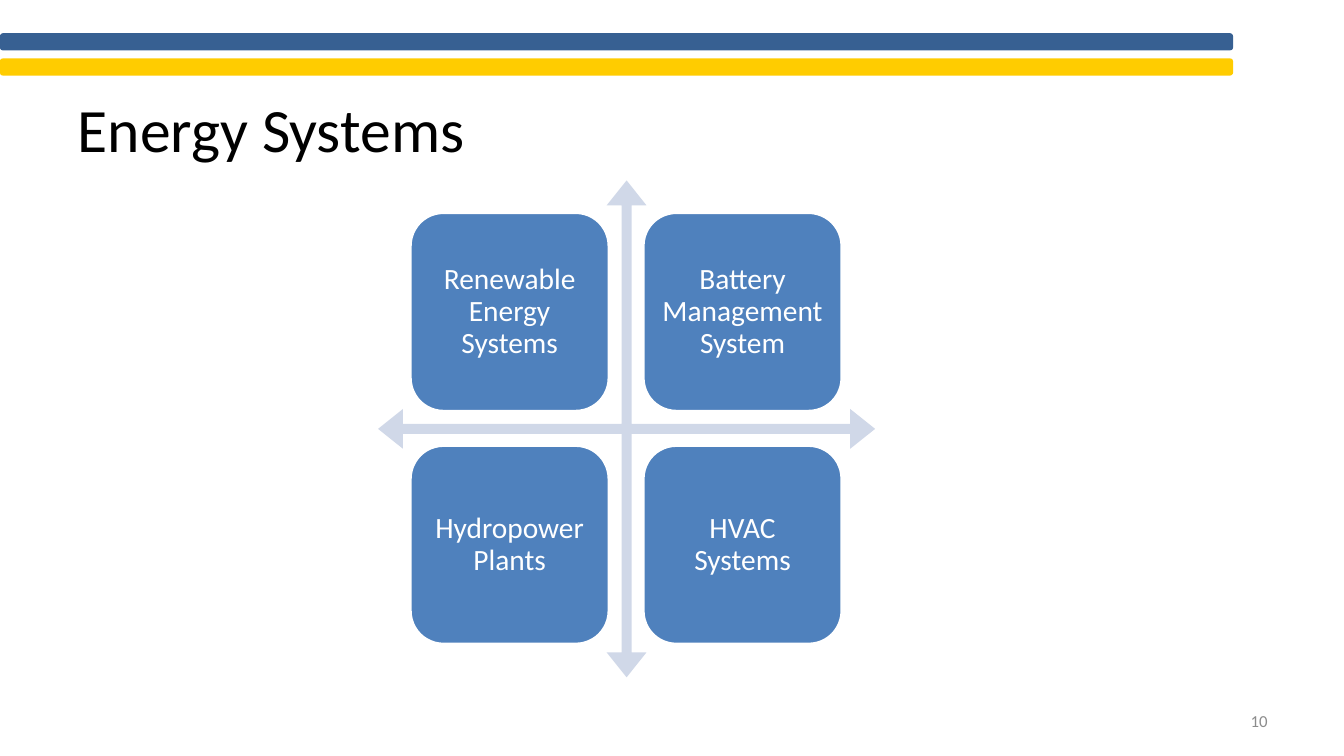
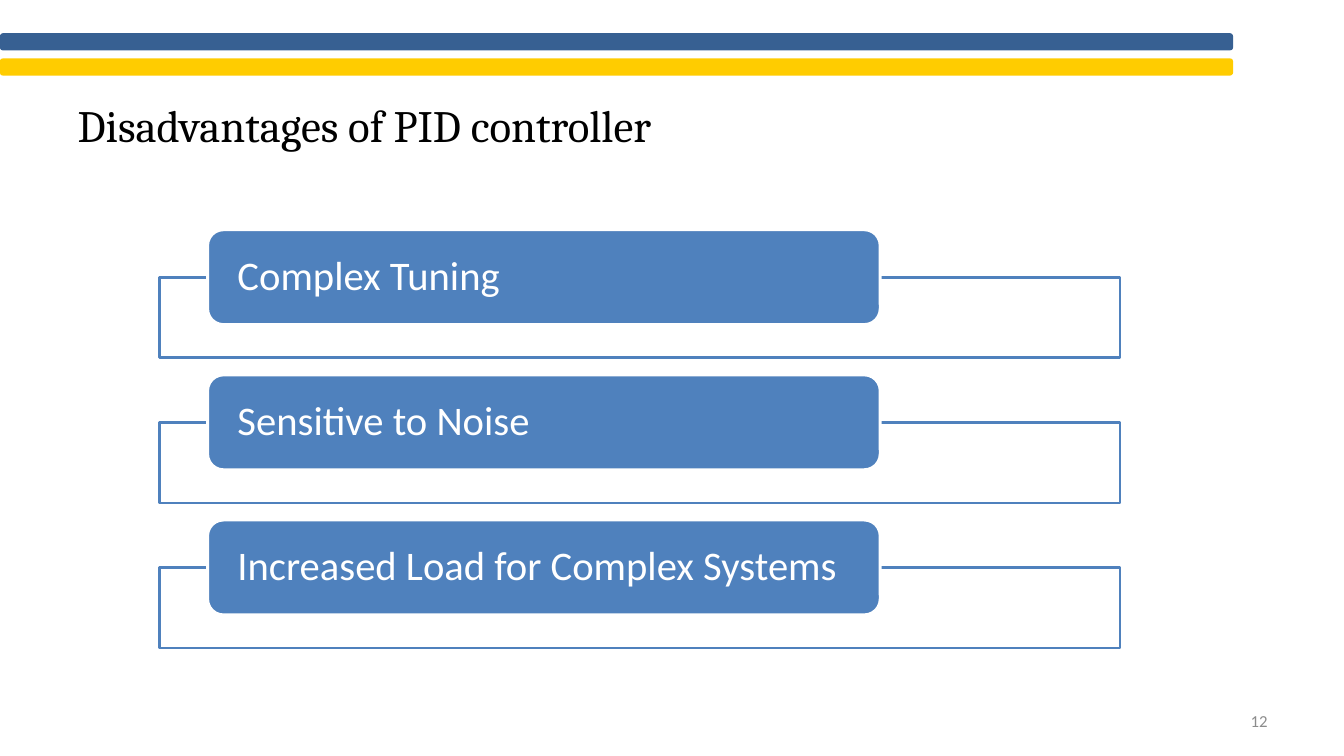
from dataclasses import dataclass
from itertools import product

from pptx import Presentation
from pptx.dml.color import RGBColor as Rgb
from pptx.enum.shapes import MSO_SHAPE as Form
from pptx.enum.text import MSO_ANCHOR as Anchor, PP_ALIGN as Align
from pptx.util import Inches, Pt


@dataclass(frozen=True)
class Theme:
    black: str = "000000"
    white: str = "FFFFFF"
    grey: str = "8C8C8C"
    navy: str = "376092"
    gold: str = "FFCC00"
    blue: str = "4F81BD"
    pale: str = "D0D8E8"
    sans: str = "Calibri"
    serif: str = "Cambria"
    title: int = 44
    small: int = 32
    bar: int = 29
    card: int = 21
    page: int = 12
    edge: int = 2


class Deck:
    def __init__(self, theme):
        self.theme = theme
        self.show = Presentation()
        self.show.slide_width = Inches(13.33)
        self.show.slide_height = Inches(7.5)
        self.slide = None

    def start(self, title, page, box, size, face=None):
        t = self.theme
        self.slide = self.show.slides.add_slide(self.show.slide_layouts[5])
        head = self.slide.shapes.title
        names = ("left", "top", "width", "height")
        for name, value in zip(names, box):
            setattr(head, name, Inches(value))
        self.label(head, title, size, t.black, face=face)
        note = self.slide.shapes.add_textbox(*map(Inches, (9.56, 6.95, 3.11, 0.4)))
        self.label(note, page, t.page, t.grey, Align.RIGHT)
        for top, tint in ((0.33, t.navy), (0.58, t.gold)):
            self.shape(Form.ROUNDED_RECTANGLE, (0, top, 12.23, 0.17), tint)

    def label(self, shape, text, size, tint, align=Align.LEFT, face=None,
              pad=(0.1, 0.05), lead=1.0):
        frame = shape.text_frame
        frame.text = text
        para = frame.paragraphs[0]
        font = para.runs[0].font
        side, end = map(Inches, pad)
        looks = (
            (frame, {"word_wrap": True, "vertical_anchor": Anchor.MIDDLE,
                     "margin_left": side, "margin_right": side,
                     "margin_top": end, "margin_bottom": end}),
            (para, {"alignment": align, "line_spacing": lead}),
            (font, {"name": face or self.theme.sans, "size": Pt(size)}),
        )
        for part, look in looks:
            for name, value in look.items():
                setattr(part, name, value)
        font.color.rgb = Rgb.from_string(tint)

    def shape(self, form, box, fill, line=None):
        item = self.slide.shapes.add_shape(form, *map(Inches, box))
        item.shadow.inherit = False
        item.fill.solid()
        item.fill.fore_color.rgb = Rgb.from_string(fill)
        if line:
            item.line.color.rgb = Rgb.from_string(line)
            item.line.width = Pt(self.theme.edge)
        else:
            item.line.fill.background()
        return item

    def cross(self, box):
        item = self.shape(Form.QUAD_ARROW, box, self.theme.pale)
        for i, value in enumerate((0.02, 0.04, 0.05)):
            item.adjustments[i] = value

    def card(self, box, text):
        t = self.theme
        item = self.shape(Form.ROUNDED_RECTANGLE, box, t.blue, t.white)
        self.label(item, text, t.card, t.white, Align.CENTER, pad=(0.08, 0.08), lead=0.9)

    def bar(self, top, text):
        t = self.theme
        self.shape(Form.RECTANGLE, (1.58, top + 0.47, 9.53, 0.8), t.white, t.blue)
        item = self.shape(Form.ROUNDED_RECTANGLE, (2.06, top, 6.67, 0.94), t.blue, t.white)
        self.label(item, text, t.bar, t.white, pad=(0.25, 0), lead=0.9)


def main():
    theme = Theme()
    deck = Deck(theme)

    deck.start("Energy Systems", "10", (0.67, 0.79, 12, 0.96), theme.title)
    deck.cross((3.75, 1.79, 4.93, 4.93))
    fields = ("Renewable Energy Systems", "Battery Management System",
              "Hydropower Plants", "HVAC Systems")
    side, step = 1.97, 2.31
    for (row, col), text in zip(product(range(2), repeat=2), fields):
        deck.card((4.07 + col * step, 2.11 + row * step, side, side), text)

    deck.start("Disadvantages of PID controller", "12", (0.67, 0.92, 7.33, 0.63),
               theme.small, theme.serif)
    flaws = ("Complex Tuning", "Sensitive to Noise", "Increased Load for Complex Systems")
    for row, text in enumerate(flaws):
        deck.bar(2.28 + row * 1.44, text)

    deck.show.save("out.pptx")


if __name__ == "__main__":
    main()
